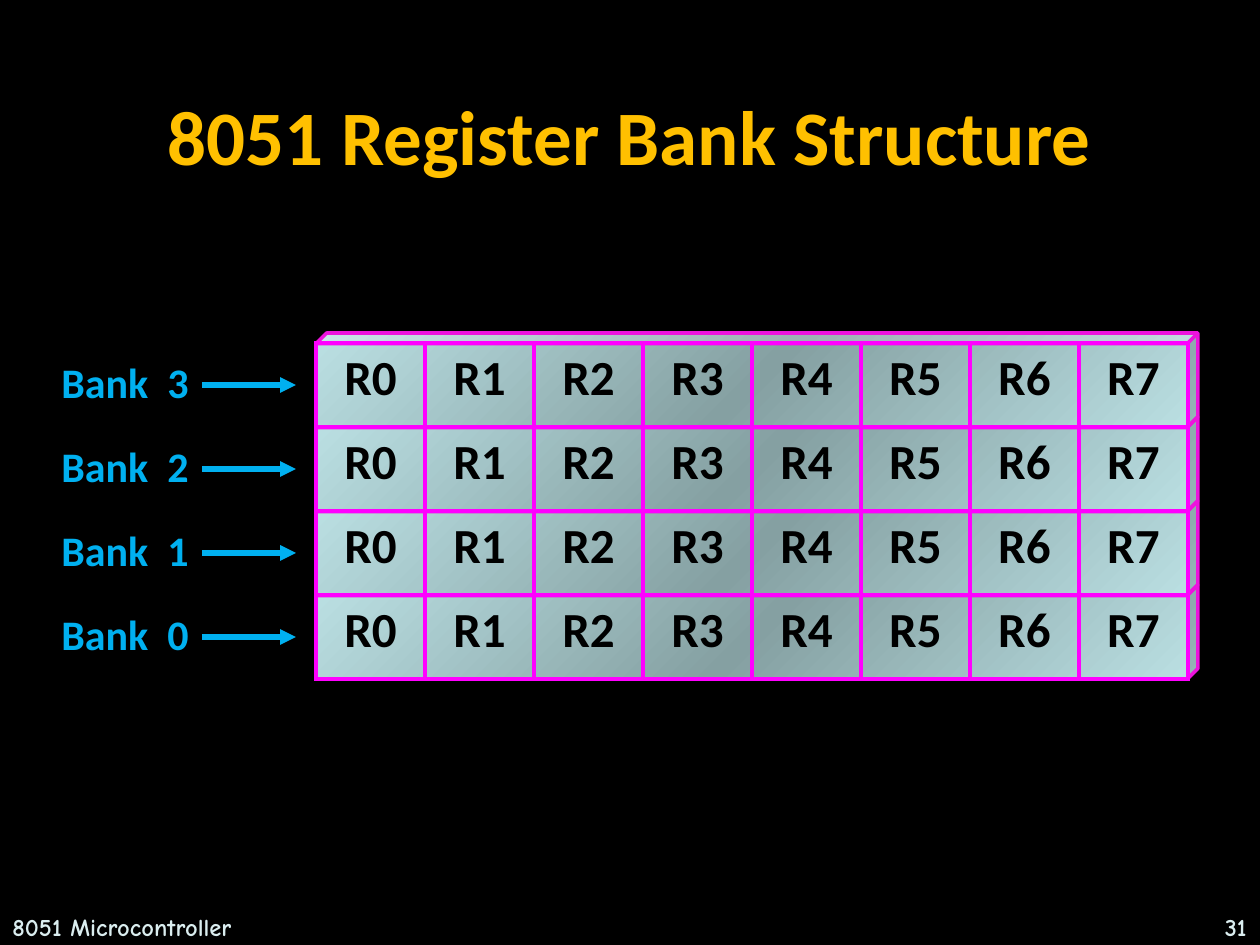
from dataclasses import dataclass

from lxml import etree
from pptx import Presentation
from pptx.dml.color import RGBColor
from pptx.enum.shapes import MSO_CONNECTOR, MSO_SHAPE
from pptx.enum.text import MSO_ANCHOR, MSO_AUTO_SIZE, PP_ALIGN
from pptx.oxml import parse_xml
from pptx.oxml.ns import qn
from pptx.util import Pt

PX = 914400 / 126
CUBE = MSO_SHAPE.CUBE
LINE = MSO_CONNECTOR.STRAIGHT
MIDDLE = MSO_ANCHOR.MIDDLE
GROW = MSO_AUTO_SIZE.SHAPE_TO_FIT_TEXT
LEFT, CENTER, RIGHT = PP_ALIGN.LEFT, PP_ALIGN.CENTER, PP_ALIGN.RIGHT

BLACK, GOLD, BLUE, PALE = "000000", "FFC000", "00B0F0", "DAEDEF"
PINK, GRID = "ED13DD", "FF00FF"
MAIN, FOOT = "Calibri", "Comic Neue"
ROW, COL, REGS = 84, 109, 8
NS = "http://schemas.openxmlformats.org/drawingml/2006/main"
FADE = f"""<a:gradFill xmlns:a="{NS}" rotWithShape="1"><a:gsLst>
<a:gs pos="0"><a:srgbClr val="BBE0E3"/></a:gs>
<a:gs pos="50000"><a:srgbClr val="BBE0E3"><a:shade val="46275"/></a:srgbClr></a:gs>
<a:gs pos="100000"><a:srgbClr val="BBE0E3"/></a:gs>
</a:gsLst><a:lin ang="2700000" scaled="1"/></a:gradFill>"""


@dataclass(frozen=True)
class Bank:
    name: str
    top: int


@dataclass(frozen=True)
class Label:
    text: str
    box: tuple[int, int, int, int]
    size: int
    font: str
    color: str
    align: PP_ALIGN = LEFT
    grow: bool = False


BANKS = [Bank(f"Bank  {3 - i}", 343 + i * ROW) for i in range(4)]
FEET = [
    Label("8051 Microcontroller", (0, 906, 294, 66), 14, FOOT, PALE),
    Label("31", (965, 906, 294, 66), 14, FOOT, PALE, RIGHT),
]


def emu(*px: int) -> list[int]:
    return [round(n * PX) for n in px]


def rgb(code: str) -> RGBColor:
    return RGBColor.from_string(code)


def write(frame, text: str, size: int, font: str, color: str, align: PP_ALIGN) -> None:
    frame.text = text
    para = frame.paragraphs[0]
    para.alignment = align
    for run in para.runs:
        run.font.size = Pt(size)
        run.font.name = font
        run.font.bold = True
        run.font.color.rgb = rgb(color)


def add_label(slide, label: Label) -> None:
    frame = slide.shapes.add_textbox(*emu(*label.box)).text_frame
    frame.word_wrap = True
    if label.grow:
        frame.auto_size = GROW
    write(frame, label.text, label.size, label.font, label.color, label.align)


def add_cube(slide, bank: Bank) -> None:
    cube = slide.shapes.add_shape(CUBE, *emu(316, bank.top - 10, 882, 94))
    cube.adjustments[0] = 0.113
    cube.shadow.inherit = False
    geom = cube.element.spPr.find(qn("a:prstGeom"))
    geom.addnext(parse_xml(FADE))
    cube.line.color.rgb = rgb(PINK)
    cube.line.width = Pt(2)


def add_arrow(slide, y: int) -> None:
    arrow = slide.shapes.add_connector(LINE, *emu(202, y, 296, y))
    arrow.line.color.rgb = rgb(BLUE)
    arrow.line.width = Pt(3)
    etree.SubElement(arrow.line._get_or_add_ln(), qn("a:tailEnd"), type="triangle")
    etree.SubElement(arrow.element.spPr, qn("a:effectLst"))


def frame_cell(cell) -> None:
    """Give a cell its four borders and no fill."""
    cell.fill.background()
    props = cell._tc.get_or_add_tcPr()
    for i, side in enumerate(("lnL", "lnR", "lnT", "lnB")):
        edge = etree.Element(qn(f"a:{side}"), w=str(Pt(2.25)))
        fill = etree.SubElement(edge, qn("a:solidFill"))
        etree.SubElement(fill, qn("a:srgbClr"), val=GRID)
        props.insert(i, edge)


def add_regs(slide, bank: Bank) -> None:
    box = emu(316, bank.top, COL * REGS, ROW)
    table = slide.shapes.add_table(1, REGS, *box).table
    table.first_row = table.horz_banding = False
    for i, cell in enumerate(table.iter_cells()):
        table.columns[i].width = emu(COL)[0]
        write(cell.text_frame, f"R{i}", 28, MAIN, BLACK, CENTER)
        frame_cell(cell)


def add_title(slide) -> None:
    title = slide.shapes.title
    title.left, title.top, title.width, title.height = emu(42, 38, 1176, 193)
    title.text_frame.vertical_anchor = MIDDLE
    write(title.text_frame, "8051 Register Bank Structure", 44, MAIN, GOLD, CENTER)


def main() -> None:
    deck = Presentation()
    deck.slide_width, deck.slide_height = emu(1260, 945)
    slide = deck.slides.add_slide(deck.slide_layouts[5])
    back = slide.background.fill
    back.solid()
    back.fore_color.rgb = rgb(BLACK)
    add_title(slide)
    for bank in reversed(BANKS):
        add_cube(slide, bank)
    for bank in BANKS:
        add_regs(slide, bank)
        box = (49, bank.top + 7, 179, 64)
        add_label(slide, Label(bank.name, box, 24, MAIN, BLUE, grow=True))
        add_arrow(slide, bank.top + 42)
    for foot in FEET:
        add_label(slide, foot)
    deck.save("out.pptx")


if __name__ == "__main__":
    main()
